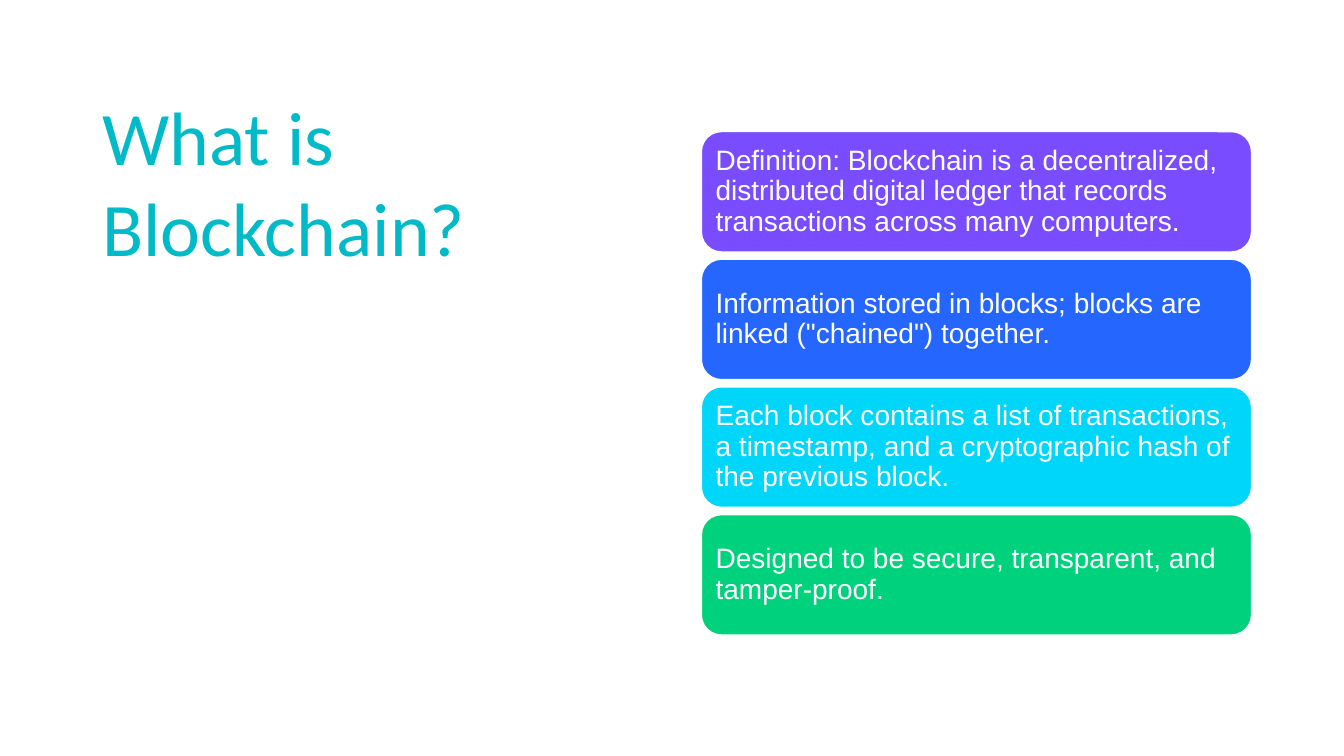
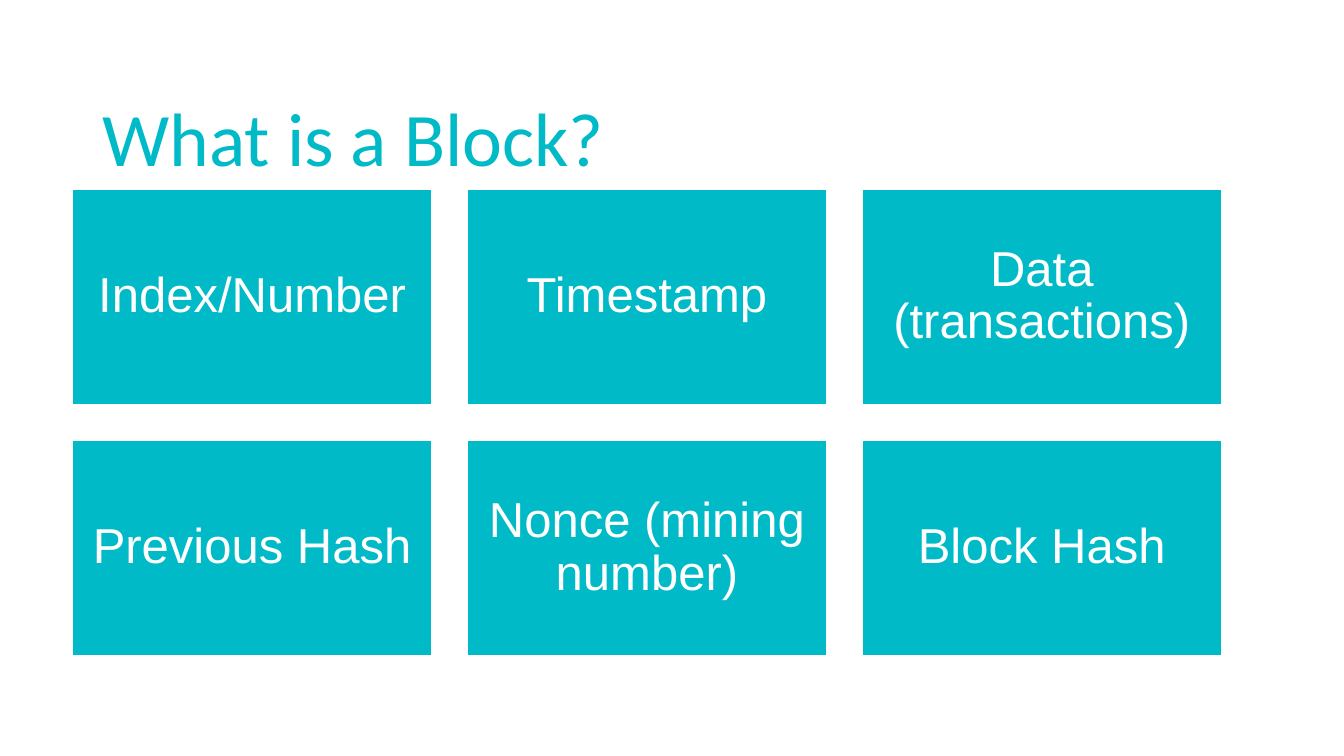
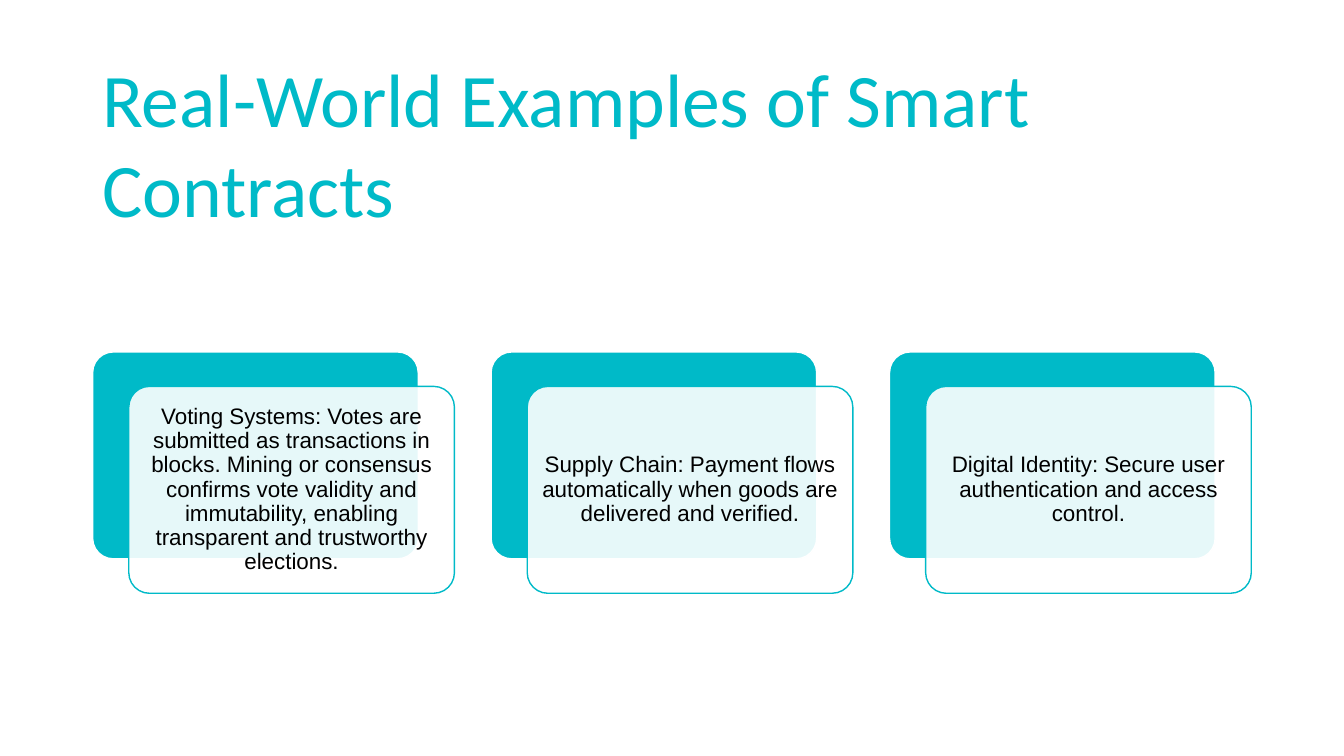
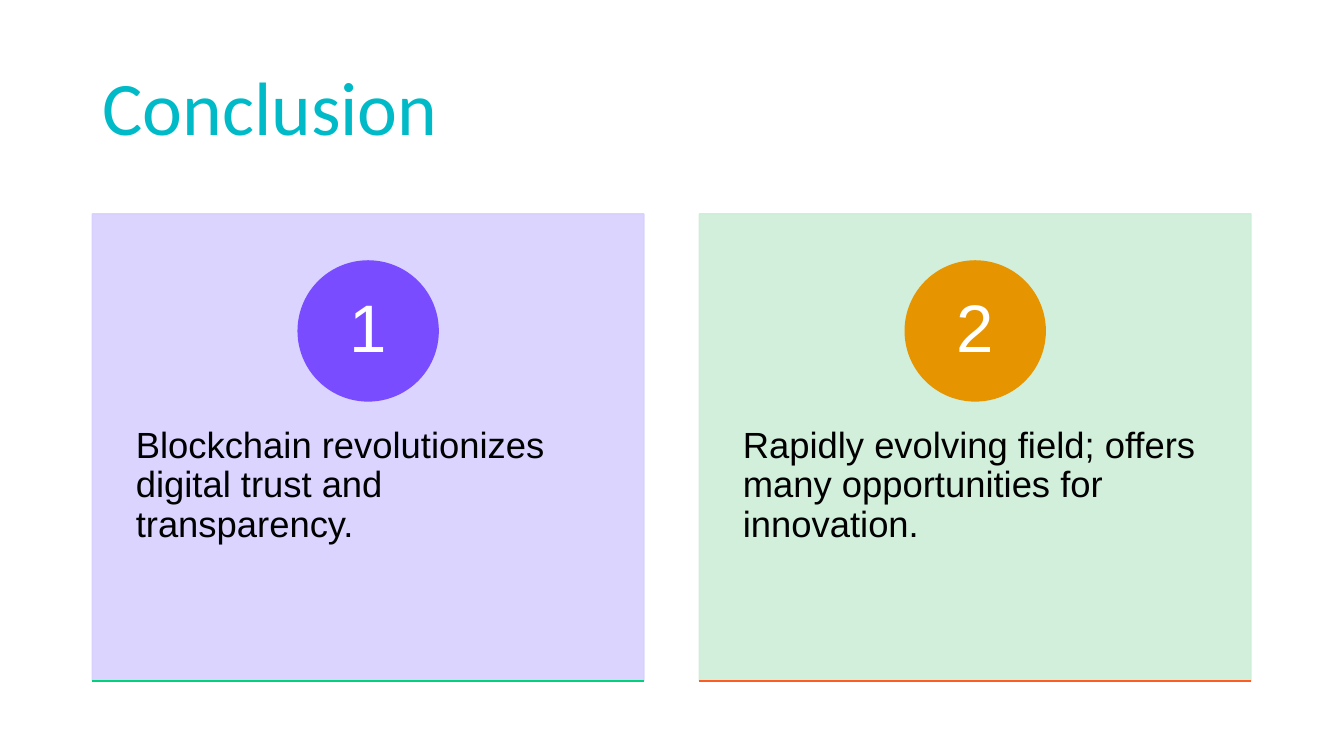
from pptx import Presentation
from pptx.dml.color import RGBColor
from pptx.enum.shapes import MSO_CONNECTOR as Connector, MSO_SHAPE as Shape
from pptx.enum.text import MSO_ANCHOR as Anchor, PP_ALIGN as Align
from pptx.oxml.ns import qn
from pptx.util import Pt
from lxml.etree import SubElement

COLORS = {
    "teal": "00BAC8", "white": "FFFFFF", "black": "000000",
    "violet": "794DFF", "blue": "2466FF", "cyan": "00D5FA", "green": "00D17D",
    "amber": "E69500", "orange": "FE5D21", "lilac": "D7D0FF", "mint": "CCEED7",
}


class Deck:
    """Blockchain deck: shared style, current page and element methods."""

    def __init__(self):
        self.deck = Presentation()
        self.deck.slide_width, self.deck.slide_height = Pt(960), Pt(540)
        self.page = None

    def color(self, name):
        return RGBColor.from_string(COLORS[name])

    def label(self, box, text, size, color, font="Arial", align=Align.LEFT,
              anchor=Anchor.MIDDLE, insets=(7.2, 3.6), spacing=0.9):
        frame = box.text_frame
        frame.text = text
        frame.word_wrap = True
        frame.vertical_anchor = anchor
        frame.margin_left = frame.margin_right = Pt(insets[0])
        frame.margin_top = frame.margin_bottom = Pt(insets[1])
        para = frame.paragraphs[0]
        para.alignment, para.line_spacing = align, spacing
        for span in para.runs:
            span.font.name, span.font.size = font, Pt(size)
            span.font.color.rgb = self.color(color)

    def new_page(self, title, top, width, height, anchor=Anchor.BOTTOM):
        self.page = self.deck.slides.add_slide(self.deck.slide_layouts[6])
        box = self.page.shapes.add_textbox(Pt(66), Pt(top), Pt(width), Pt(height))
        self.label(box, title, 54, "teal", font="Calibri", anchor=anchor, spacing=1.0)

    def block(self, kind, left, top, width, height, fill, line="white",
              corner=None, faded=False):
        box = self.page.shapes.add_shape(kind, Pt(left), Pt(top), Pt(width), Pt(height))
        box.shadow.inherit = False
        box.fill.solid()
        box.fill.fore_color.rgb = self.color(fill)
        box.line.color.rgb = self.color(line)
        box.line.width = Pt(1)
        if corner:
            box.adjustments[0] = corner
        if faded:
            for tint in box._element.spPr.iter(qn("a:srgbClr")):
                if tint.get("val") == COLORS[fill]:
                    SubElement(tint, qn("a:alpha"), val="90000")
        return box

    def rule(self, left, top, width, color):
        line = self.page.shapes.add_connector(
            Connector.STRAIGHT, Pt(left), Pt(top), Pt(left + width), Pt(top))
        line.line.color.rgb = self.color(color)
        line.line.width = Pt(1)
        SubElement(line._element.spPr, qn("a:effectLst"))

    def bar(self, top, text, fill):
        box = self.block(Shape.ROUNDED_RECTANGLE, 501, top, 393, 86, fill)
        self.label(box, text, 20, "white", insets=(6, 6))

    def tile(self, left, top, width, height, text):
        box = self.block(Shape.RECTANGLE, left, top, width, height, "teal")
        self.label(box, text, 35, "white", align=Align.CENTER, insets=(10.8, 10.8))

    def layered_card(self, left, top, text):
        size = (232.6, 147.8)
        self.block(Shape.ROUNDED_RECTANGLE, left, top, *size, "teal", corner=0.1)
        front = self.block(Shape.ROUNDED_RECTANGLE, left + 25.8, top + 24.6, *size,
                           "white", "teal", corner=0.1, faded=True)
        self.label(front, text, 16, "black", align=Align.CENTER, insets=(5, 5))

    def numbered_panel(self, left, number, text, fill, badge_color, rule_color):
        top, width, height, badge_size = 152.8, 394, 333.6, 100
        panel = self.block(Shape.RECTANGLE, left, top, width, height, fill, fill, faded=True)
        self.label(panel, text, 26, "black", anchor=Anchor.TOP, insets=(31, 0))
        panel.text_frame.margin_top = Pt(152.4)
        badge = self.block(Shape.OVAL, left + (width - badge_size) / 2, top + 33.6,
                           badge_size, badge_size, badge_color, badge_color)
        self.label(badge, str(number), 48, "white", align=Align.CENTER, insets=(8, 1))
        self.rule(left, top + height, width, rule_color)


def main():
    deck = Deck()

    deck.new_page("What is Blockchain?", 61, 393, 425, Anchor.TOP)
    facts = [
        ("Definition: Blockchain is a decentralized, distributed digital ledger "
         "that records transactions across many computers.", "violet"),
        ('Information stored in blocks; blocks are linked ("chained") together.', "blue"),
        ("Each block contains a list of transactions, a timestamp, and a "
         "cryptographic hash of the previous block.", "cyan"),
        ("Designed to be secure, transparent, and tamper-proof.", "green"),
    ]
    for index, (text, fill) in enumerate(facts):
        deck.bar(94 + index * 91.2, text, fill)

    deck.new_page("What is a Block?", 29, 828, 104.4)
    parts = ["Index/Number", "Timestamp", "Data (transactions)",
             "Previous Hash", "Nonce (mining number)", "Block Hash"]
    width, height, gap = 256.4, 153.8, 25.6
    for index, text in enumerate(parts):
        row, column = divmod(index, 3)
        deck.tile(52 + column * (width + gap), 135 + row * (height + gap),
                  width, height, text)

    deck.new_page("Real-World Examples of Smart Contracts", 29, 828, 141)
    examples = [
        "Voting Systems: Votes are submitted as transactions in blocks. Mining or "
        "consensus confirms vote validity and immutability, enabling transparent "
        "and trustworthy elections.",
        "Supply Chain: Payment flows automatically when goods are delivered and verified.",
        "Digital Identity: Secure user authentication and access control.",
    ]
    for index, text in enumerate(examples):
        deck.layered_card(66.2 + index * 284.6, 251.4, text)

    deck.new_page("Conclusion", 29, 840, 82)
    points = [
        ("Blockchain revolutionizes digital trust and transparency.",
         "lilac", "violet", "green"),
        ("Rapidly evolving field; offers many opportunities for innovation.",
         "mint", "amber", "orange"),
    ]
    for index, point in enumerate(points):
        deck.numbered_panel(66 + index * 433.6, index + 1, *point)

    deck.deck.save("out.pptx")


if __name__ == "__main__":
    main()
